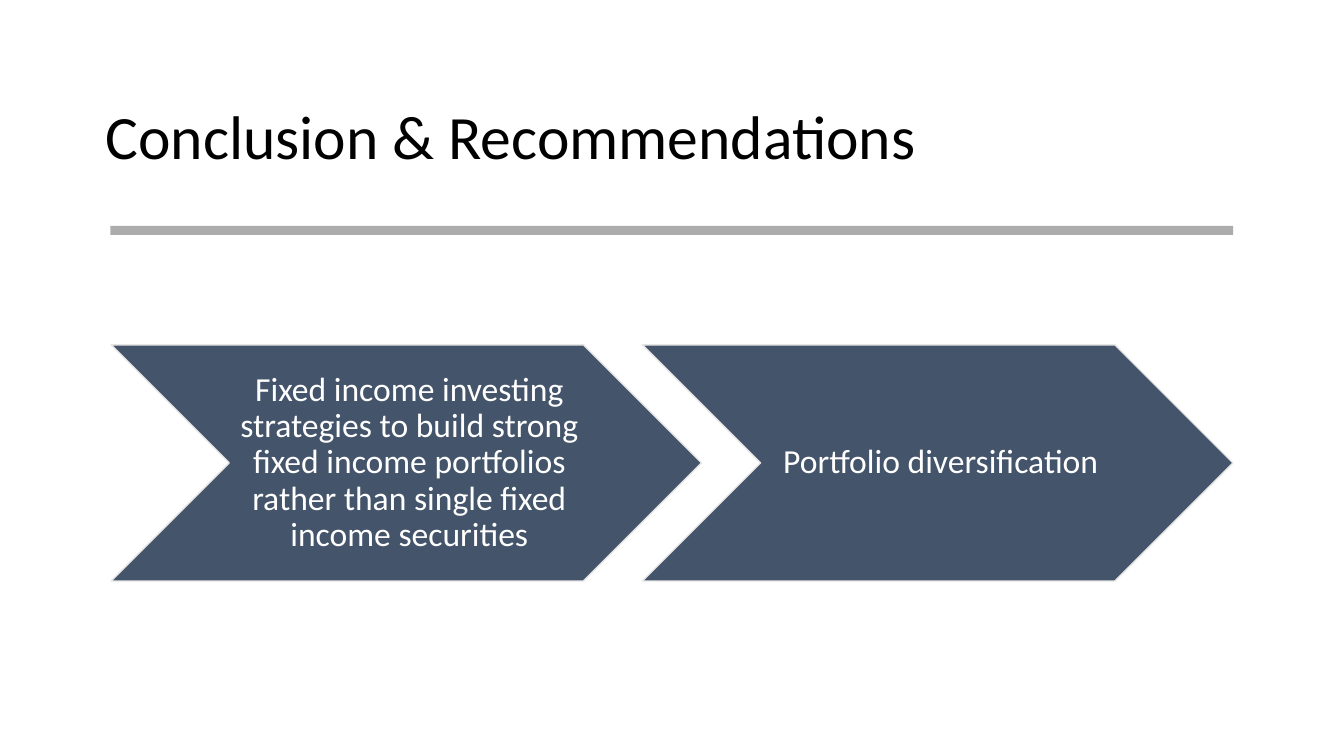
from lxml.etree import SubElement as Sub
from pptx import Presentation
from pptx.dml.color import RGBColor
from pptx.enum.shapes import MSO_SHAPE as Kind
from pptx.enum.text import MSO_ANCHOR as Anchor, PP_ALIGN as Align
from pptx.oxml.ns import qn
from pptx.util import Cm, Pt

STEPS = [
    "Fixed income investing strategies to build strong fixed income "
    "portfolios rather than single fixed income securities",
    "Portfolio diversification",
]


def paint(part, tone):
    part.solid()
    part.fore_color.rgb = RGBColor.from_string(tone)


def write(frame, text, size, tone, align):
    frame.text = text
    frame.word_wrap = True
    frame.vertical_anchor = Anchor.MIDDLE
    para = frame.paragraphs[0]
    para.alignment = align
    para.line_spacing = 0.9
    para.font.name = "Calibri"
    para.font.size = Pt(size)
    paint(para.font.fill, tone)


def head(slide, left, top, width, height):
    title = slide.shapes.title
    title.left, title.top = Cm(left), Cm(top)
    title.width, title.height = Cm(width), Cm(height)
    write(title.text_frame, "Conclusion & Recommendations", 44, "000000", Align.LEFT)


def form(slide, kind, left, top, width, height, tone):
    shape = slide.shapes.add_shape(kind, Cm(left), Cm(top), Cm(width), Cm(height))
    shape.shadow.inherit = False
    paint(shape.fill, tone)
    return shape


def rule(slide, left, top, width, height):
    bar = form(slide, Kind.RECTANGLE, left, top, width, height, "808080")
    bar.line.fill.background()
    tone = bar.fill._xPr.find(qn("a:solidFill"))[0]
    Sub(tone, qn("a:alpha"), val="65000")


def flow(slide, left, top, width, height):
    overlap = 0.1
    step = width / (len(STEPS) - overlap * (len(STEPS) - 1))
    for i, text in enumerate(STEPS):
        spot = left + i * step * (1 - overlap)
        arrow = form(slide, Kind.CHEVRON, spot, top, step, height, "44546A")
        paint(arrow.line.fill, "E7E6E6")
        arrow.line.width = Pt(1)
        frame = arrow.text_frame
        frame.margin_left, frame.margin_right = Cm(0.15), 0
        frame.margin_top = frame.margin_bottom = Cm(0.1)
        write(frame, text, 24, "FFFFFF", Align.CENTER)


deck = Presentation()
deck.slide_width, deck.slide_height = Cm(33.87), Cm(19.05)
slide = deck.slides.add_slide(deck.slide_layouts[5])
head(slide, 2.41, 1.68, 29.03, 3.68)
rule(slide, 2.78, 5.69, 28.3, 0.23)
flow(slide, 2.8, 8.69, 28.27, 5.95)
deck.save("out.pptx")
